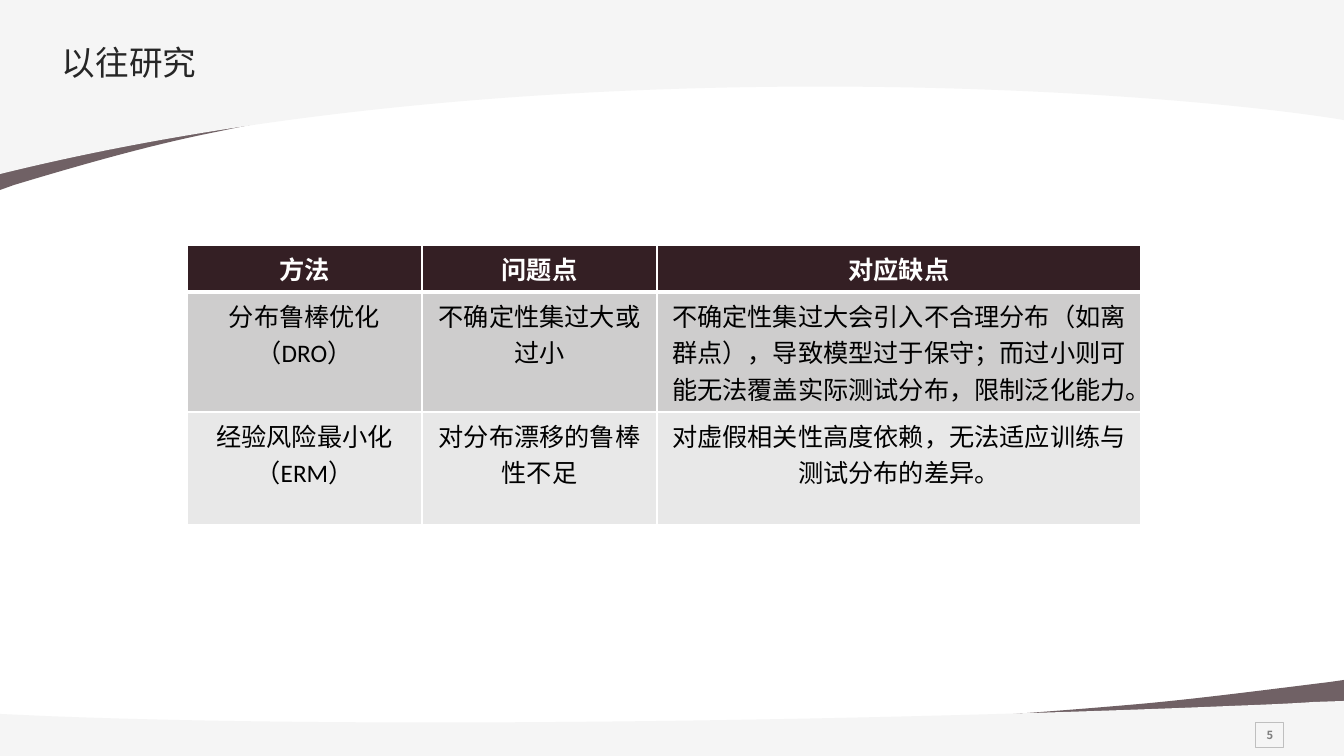
import pptx
import pptx.dml.color
import pptx.enum.lang
import pptx.enum.shapes
import pptx.enum.text
import pptx.oxml
import pptx.oxml.ns
import pptx.util

PX = 914400 / 100.8
WIDTH, HEIGHT = 1344, 756
COLORS = {
    "plum": "341F24", "mist": "F5F5F5", "white": "FFFFFF", "black": "000000",
    "title": "262626", "number": "808080", "outline": "BFBFBF",
    "row_dark": "CECDCD", "row_light": "E8E8E8",
}
CJK_FONT, LATIN_FONT = "Noto Sans CJK SC", "Calibri"
CENTER = pptx.enum.text.PP_ALIGN.CENTER
MIDDLE = pptx.enum.text.MSO_ANCHOR.MIDDLE
TOP = pptx.enum.text.MSO_ANCHOR.TOP
NAMESPACE = pptx.oxml.ns.nsdecls("a")

# A six-number step is a cubic curve, a two-number step a straight line.
TOP_SWOOSH = [(0, 190), (0, 22), (1344, 22), (1344, 92), (1343, 92),
              (1040, 6, 518, 68, 216, 132), (155, 144, 87, 163, 14, 185)]
TOP_BAND = [(0, 0), (1344, 0), (1344, 120), (1149, 88, 521, 45, 0, 174)]
BOTTOM_SWOOSH = [(1344, 680), (1344, 750), (0, 750), (0, 721), (1, 722),
                 (303, 756, 827, 731, 1128, 705), (1188, 700, 1257, 691, 1330, 682)]
BOTTOM_BAND = [(1344, 701), (1344, 756), (0, 756), (0, 714), (44, 716),
               (395, 730, 917, 719, 1230, 706), (1256, 705, 1285, 704, 1314, 702)]

METHODS = [
    ["方法", "问题点", "对应缺点"],
    ["分布鲁棒优化（DRO）", "不确定性集过大或过小",
     "不确定性集过大会引入不合理分布（如离群点），导致模型过于保守；"
     "而过小则可能无法覆盖实际测试分布，限制泛化能力。"],
    ["经验风险最小化（ERM）", "对分布漂移的鲁棒性不足",
     "对虚假相关性高度依赖，无法适应训练与测试分布的差异。"],
]


def emu(pixels):
    return pptx.util.Emu(round(pixels * PX))


def rgb(name):
    return pptx.dml.color.RGBColor.from_string(COLORS[name])


def bend(shape, steps):
    """Replace the straight segments of curved steps by cubic curves."""
    segments = list(shape._element.iter(pptx.oxml.ns.qn("a:lnTo")))
    for segment, step in zip(segments, steps[1:]):
        if len(step) == 6:
            points = "".join(
                f'<a:pt x="{emu(x) - shape.left}" y="{emu(y) - shape.top}"/>'
                for x, y in zip(step[::2], step[1::2]))
            segment.getparent().replace(segment, pptx.oxml.parse_xml(
                f'<a:cubicBezTo {NAMESPACE}>{points}</a:cubicBezTo>'))


class Page:
    def __init__(self, deck):
        self.slide = deck.slides.add_slide(deck.slide_layouts[6])
        self.shapes = self.slide.shapes

    def style_text(self, frame, text, size, color, font=CJK_FONT, bold=False, align=None):
        frame.text = text
        para = frame.paragraphs[0]
        para.alignment = align
        span = para.runs[0]
        span.font.size = pptx.util.Pt(size)
        span.font.bold = bold
        span.font.name = font
        span.font.color.rgb = rgb(color)
        span.font.language_id = pptx.enum.lang.MSO_LANGUAGE_ID.SIMPLIFIED_CHINESE
        latin = span.font._element.find(pptx.oxml.ns.qn("a:latin"))
        latin.addnext(pptx.oxml.parse_xml(f'<a:ea {NAMESPACE} typeface="{CJK_FONT}"/>'))
        return para

    def curve(self, steps, color, opacity=100):
        points = [(emu(step[-2]), emu(step[-1])) for step in steps]
        builder = self.shapes.build_freeform(*points[0], scale=1.0)
        builder.add_line_segments(points[1:], close=True)
        shape = builder.convert_to_shape()
        bend(shape, steps)
        shape.shadow.inherit = False
        shape.fill.solid()
        shape.fill.fore_color.rgb = rgb(color)
        shape.line.fill.background()
        if opacity < 100:
            fill = shape._element.spPr.find(pptx.oxml.ns.qn("a:solidFill"))
            fill[0].append(pptx.oxml.parse_xml(
                f'<a:alpha {NAMESPACE} val="{opacity * 1000}"/>'))

    def title(self, text, left, top, width, height):
        box = self.shapes.add_textbox(*map(emu, (left, top, width, height)))
        frame = box.text_frame
        frame.word_wrap = False
        frame.vertical_anchor = TOP
        frame.margin_left, frame.margin_right = emu(8), 0
        frame.margin_top = frame.margin_bottom = emu(8)
        para = self.style_text(frame, text, 24, "title",
                               align=pptx.enum.text.PP_ALIGN.LEFT)
        para.line_spacing = 0.9

    def number(self, text, left, top, width, height):
        box = self.shapes.add_shape(pptx.enum.shapes.MSO_SHAPE.RECTANGLE,
                                    *map(emu, (left, top, width, height)))
        box.shadow.inherit = False
        box.fill.background()
        box.line.color.rgb = rgb("outline")
        box.line.width = pptx.util.Pt(0.75)
        frame = box.text_frame
        frame.word_wrap = False
        frame.vertical_anchor = MIDDLE
        frame.margin_left = frame.margin_right = emu(8)
        frame.margin_top = frame.margin_bottom = emu(8)
        self.style_text(frame, text, 8, "number", bold=True, align=CENTER)

    def border(self, cell, top, bottom):
        """Draw white edges, the top and bottom ones of the given points."""
        properties = cell._tc.get_or_add_tcPr()
        edges = [("L", 1), ("R", 1), ("T", top), ("B", bottom)]
        for index, (side, points) in enumerate(edges):
            properties.insert(index, pptx.oxml.parse_xml(
                f'<a:ln{side} {NAMESPACE} w="{points * 12700}">'
                f'<a:solidFill><a:srgbClr val="{COLORS["white"]}"/></a:solidFill>'
                f'</a:ln{side}>'))

    def table(self, rows, left, top, widths, heights, fills):
        table = self.shapes.add_table(
            len(rows), len(widths),
            *map(emu, (left, top, sum(widths), sum(heights)))).table
        for column, width in zip(table.columns, widths):
            column.width = emu(width)
        for row_index, texts in enumerate(rows):
            header = row_index == 0
            table.rows[row_index].height = emu(heights[row_index])
            for column_index, text in enumerate(texts):
                cell = table.cell(row_index, column_index)
                cell.fill.solid()
                cell.fill.fore_color.rgb = rgb(fills[row_index])
                cell.vertical_anchor = MIDDLE if header else TOP
                self.style_text(cell.text_frame, text, 18,
                                "white" if header else "black",
                                font=LATIN_FONT, bold=header, align=CENTER)
                self.border(cell, top=3 if row_index == 1 else 1,
                            bottom=3 if header else 1)


def main():
    deck = pptx.Presentation()
    deck.slide_width, deck.slide_height = emu(WIDTH), emu(HEIGHT)
    page = Page(deck)
    page.curve(TOP_SWOOSH, "plum", opacity=70)
    page.curve(TOP_BAND, "mist")
    page.curve(BOTTOM_SWOOSH, "plum", opacity=70)
    page.curve(BOTTOM_BAND, "mist")
    page.number("5", 1256, 723, 28, 25)
    page.title("以往研究", 54, 38, 1210, 58)
    page.table(METHODS, 187, 245, widths=[235, 235, 484], heights=[47, 120, 113],
               fills=["plum", "row_dark", "row_light"])
    deck.save("out.pptx")


if __name__ == "__main__":
    main()
